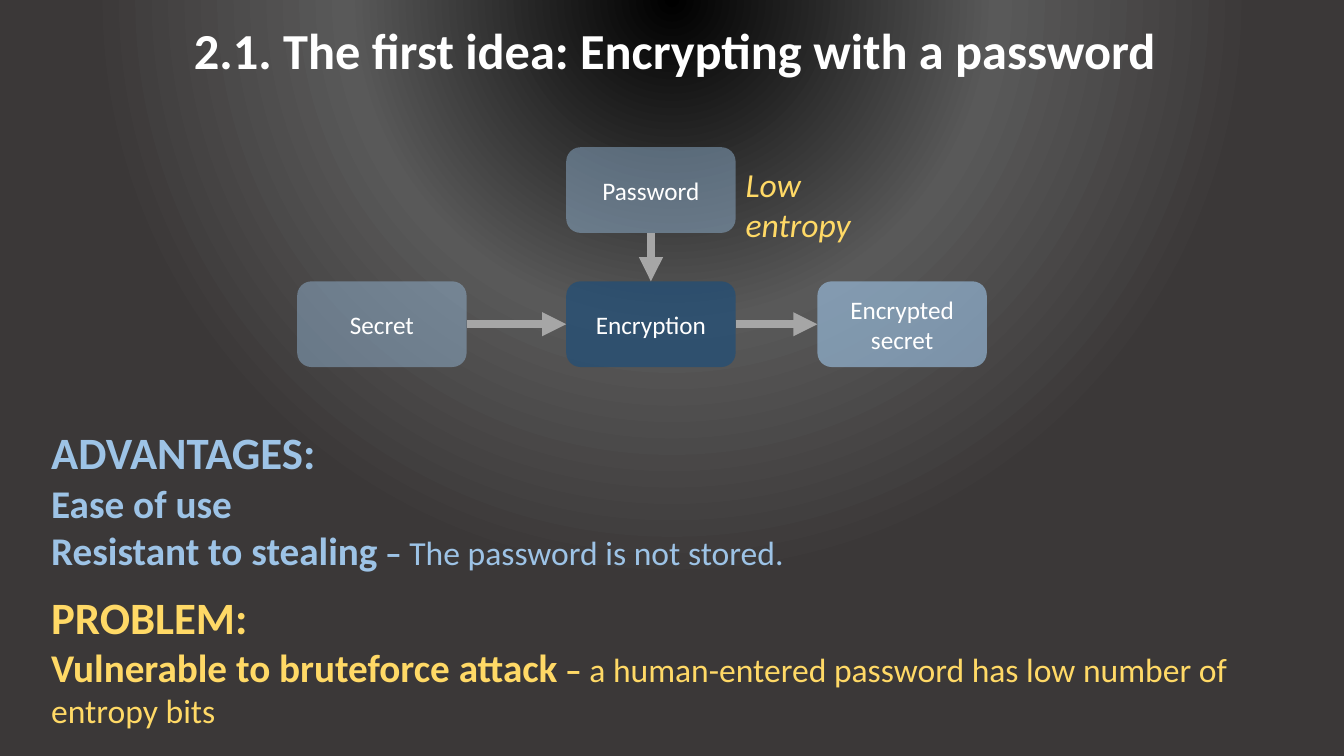
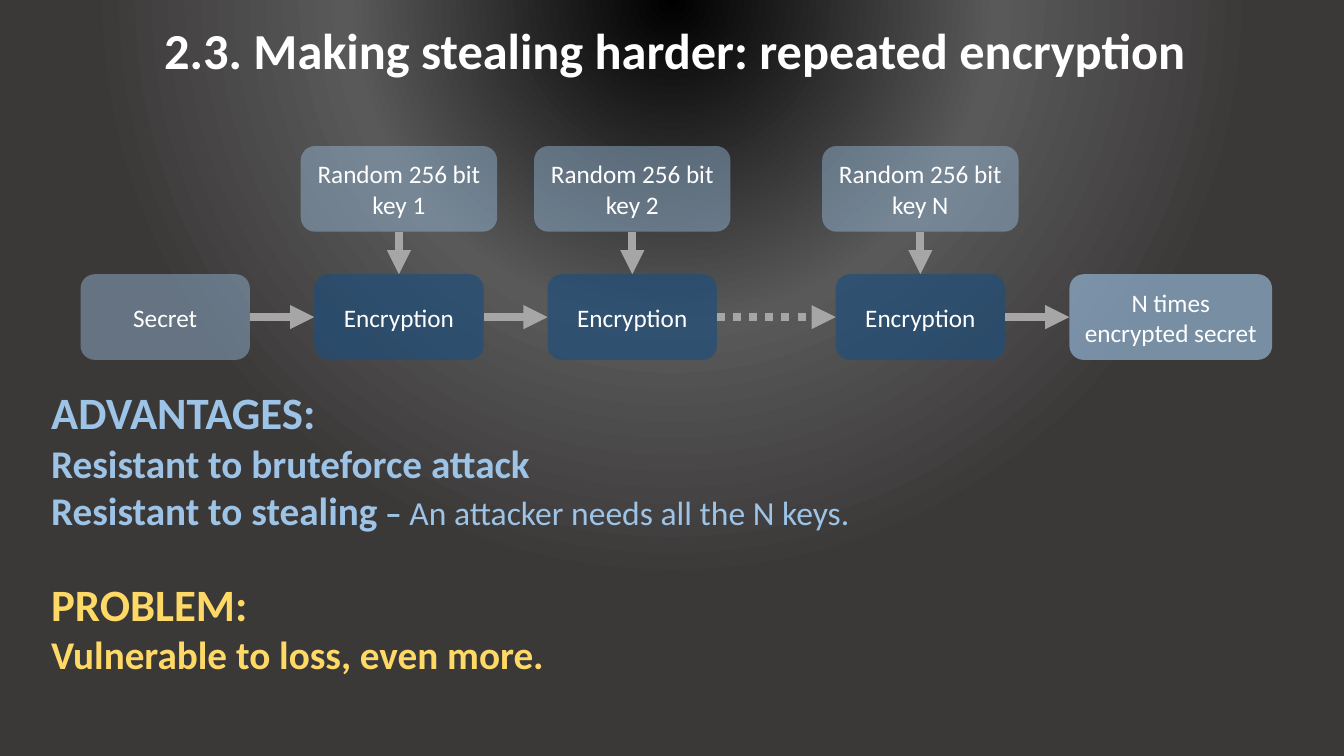
from lxml.etree import SubElement as Sub
from pptx import Presentation
from pptx.dml.color import RGBColor as Rgb
from pptx.enum.dml import MSO_LINE_DASH_STYLE as Dash
from pptx.enum.shapes import MSO_CONNECTOR as Conn, MSO_SHAPE as Shape
from pptx.enum.text import MSO_ANCHOR as Anchor, MSO_AUTO_SIZE as Fit, PP_ALIGN as Align
from pptx.oxml import parse_xml
from pptx.oxml.ns import nsdecls, qn
from pptx.util import Cm, Pt


class Theme:
    """Colours, type sizes and measures in cm."""
    face = "Calibri"
    white, blue, navy, gold, grey = "FFFFFF", "9DC3E6", "1F4E79", "FFD966", "A6A6A6"
    glow = ((0, "000000"), (42, "595959"), (76, "3B3838"))
    title, head, point, text, label = 36, 32, 28, 24, 18
    stroke = 5.75
    wide, high = 4.27, 2.16
    key = 4.95
    input, cipher, output = (blue, 43), (navy, 70), (blue, 62)


class Deck:
    """Holds the style and the current slide."""

    def __init__(self, theme):
        """Set the page size and the shared background."""
        self.theme = theme
        self.prs = Presentation()
        self.prs.slide_width, self.prs.slide_height = Cm(33.87), Cm(19.05)
        self.slide = None
        master = self.prs.slide_master
        master.background.fill.solid()
        back = master.element.find(".//" + qn("p:bgPr"))
        stops = "".join(
            f'<a:gs pos="{pos * 1000}"><a:srgbClr val="{hue}"/></a:gs>'
            for pos, hue in theme.glow)
        back.replace(back.find(qn("a:solidFill")), parse_xml(
            f'<a:gradFill {nsdecls("a")} rotWithShape="1"><a:gsLst>{stops}</a:gsLst>'
            '<a:path path="circle"><a:fillToRect l="50000" t="-80000" r="50000" '
            'b="180000"/></a:path></a:gradFill>'))

    def font(self, para, size, hue, bold=False, slant=False):
        """Style a whole paragraph."""
        font = para.font
        font.name, font.size = self.theme.face, Pt(size)
        font.bold, font.italic = bold, slant
        font.color.rgb = Rgb.from_string(hue)

    def frame(self, left, top, wide, high):
        """Add a wrapping text box and return its text frame."""
        box = self.slide.shapes.add_textbox(Cm(left), Cm(top), Cm(wide), Cm(high))
        frame = box.text_frame
        frame.word_wrap, frame.auto_size = True, Fit.SHAPE_TO_FIT_TEXT
        return frame

    def page(self, title):
        """Start a slide with its title."""
        self.slide = self.prs.slides.add_slide(self.prs.slide_layouts[6])
        para = self.frame(1.52, 0.36, 30.99, 1.8).paragraphs[0]
        para.text, para.alignment = title, Align.CENTER
        self.font(para, self.theme.title, self.theme.white, bold=True)

    def box(self, text, left, top, tint, wide=Theme.wide):
        """Add a rounded, see-through box."""
        box = self.slide.shapes.add_shape(
            Shape.ROUNDED_RECTANGLE, Cm(left), Cm(top), Cm(wide), Cm(self.theme.high))
        hue, alpha = tint
        box.shadow.inherit = False
        box.line.fill.background()
        box.fill.solid()
        box.fill.fore_color.rgb = Rgb.from_string(hue)
        color = box.element.spPr.find(qn("a:solidFill") + "/" + qn("a:srgbClr"))
        Sub(color, qn("a:alpha"), val=str(alpha * 1000))
        frame = box.text_frame
        frame.word_wrap, frame.vertical_anchor = True, Anchor.MIDDLE
        para = frame.paragraphs[0]
        para.text, para.alignment = text, Align.CENTER
        self.font(para, self.theme.label, self.theme.white)
        return box

    def arrow(self, start, end, down=False, dots=False):
        """Join two boxes, rightwards or downwards."""
        link = self.slide.shapes.add_connector(Conn.STRAIGHT, 0, 0, 0, 0)
        link.begin_connect(start, 2 if down else 3)
        link.end_connect(end, 0 if down else 1)
        line = link.line
        line.width = Pt(self.theme.stroke)
        line.color.rgb = Rgb.from_string(self.theme.grey)
        if dots:
            line.dash_style = Dash.ROUND_DOT
        props = link.element.spPr
        Sub(props.find(qn("a:ln")), qn("a:tailEnd"), type="triangle")
        Sub(props, qn("a:effectLst"))

    def note(self, head, points, top, hue):
        """Add a heading and its points, each with an optional remark."""
        theme = self.theme
        frame = self.frame(1.04, top, 32.5, 2.82)
        para = frame.paragraphs[0]
        para.text = head
        self.font(para, theme.head, hue, bold=True)
        for point, *rest in points:
            para = frame.add_paragraph()
            self.font(para, theme.point, hue, bold=True)
            para.add_run().text = point
            for remark in rest:
                dash, tail = para.add_run(), para.add_run()
                dash.text, tail.text = " – ", remark
                dash.font.size = tail.font.size = Pt(theme.text)
                tail.font.bold = False

    def label(self, text, left, top):
        """Add a slanted remark beside a box."""
        para = self.frame(left, top, 4.5, 1.27).paragraphs[0]
        para.text = text
        self.font(para, self.theme.text, self.theme.gold, slant=True)


def first(deck):
    """Draw encryption with a password."""
    theme = deck.theme
    row, mid = 7.09, 14.27
    deck.page("2.1. The first idea: Encrypting with a password")
    secret = deck.box("Secret", 7.49, row, theme.input)
    cipher = deck.box("Encryption", mid, row, theme.cipher)
    entry = deck.box("Password", mid, 3.71, theme.input)
    result = deck.box("Encrypted secret", 20.6, row, theme.output)
    deck.arrow(secret, cipher)
    deck.arrow(entry, cipher, down=True)
    deck.arrow(cipher, result)
    deck.label("Low entropy", mid + theme.wide, 4.01)
    deck.note("ADVANTAGES:", [
        ("Ease of use",),
        ("Resistant to stealing", "The password is not stored."),
    ], 10.59, theme.blue)
    deck.note("PROBLEM:", [
        ("Vulnerable to bruteforce attack",
         "a human-entered password has low number of entropy bits"),
    ], 14.73, theme.gold)


def second(deck):
    """Draw encryption repeated N times."""
    theme = deck.theme
    row = 6.91
    deck.page("2.3. Making stealing harder: repeated encryption")
    last = deck.box("Secret", 2.03, row, theme.input)
    for name, left in (("1", 7.92), ("2", 13.8), ("N", 21.06)):
        cipher = deck.box("Encryption", left, row, theme.cipher)
        key = deck.box(f"Random 256 bit key {name}", left + (theme.wide - theme.key) / 2,
                       3.68, theme.input, theme.key)
        deck.arrow(last, cipher, dots=name == "N")
        deck.arrow(key, cipher, down=True)
        last = cipher
    result = deck.box("N times encrypted secret", 26.95, row, theme.output, 5.11)
    deck.arrow(last, result)
    deck.note("ADVANTAGES:", [
        ("Resistant to bruteforce attack",),
        ("Resistant to stealing", "An attacker needs all the N keys."),
    ], 9.58, theme.blue)
    deck.note("PROBLEM:", [("Vulnerable to loss, even more.",)], 14.4, theme.gold)


def main():
    """Build and save the slides."""
    deck = Deck(Theme)
    first(deck)
    second(deck)
    deck.prs.save("out.pptx")


if __name__ == "__main__":
    main()
